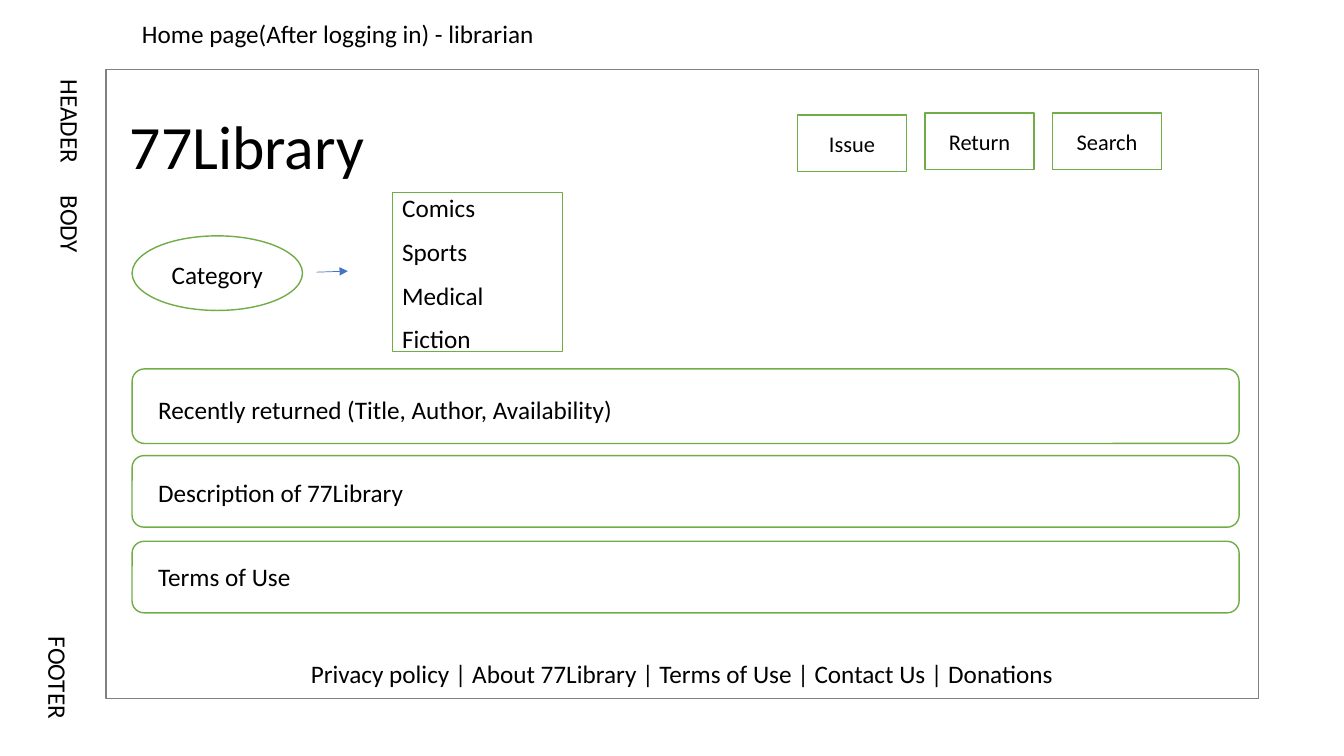
"""Build the wireframe of the librarian home page."""
from dataclasses import dataclass

from lxml import etree
from pptx import Presentation
from pptx.dml.color import RGBColor
from pptx.enum.shapes import MSO_CONNECTOR, MSO_SHAPE
from pptx.enum.text import MSO_ANCHOR, PP_ALIGN
from pptx.oxml.ns import qn
from pptx.util import Inches, Pt


@dataclass(frozen=True)
class Theme:
    font: str = "Calibri"
    ink: str = "000000"
    paper: str = "FFFFFF"
    frame: str = "808080"
    accent: str = "70AD47"
    arrow: str = "4472C4"
    title: int = 44
    body: int = 18
    button: int = 16


THEME = Theme()
CAPTION = "Home page(After logging in) - librarian"
SITE_NAME = "77Library"
BUTTONS = [("Issue", 1.14), ("Return", 1.12), ("Search", 1.12)]
CATEGORIES = ["Comics", "Sports", "Medical", "Fiction"]
PANELS = [
    ("Recently returned (Title, Author, Availability)", 3.66, 0.74, 3.86),
    ("Description of 77Library", 4.52, 0.71, 4.69),
    ("Terms of Use", 5.37, 0.71, 5.52),
]
REGIONS = [("HEADER", 0.4, 0.69, 1.22), ("BODY", 0.4, 1.84, 4.22), ("FOOTER", 0.28, 6.22, 1.17)]
FOOTER_LINKS = ["Privacy policy", "About 77Library", "Terms of Use", "Contact Us", "Donations"]

LEFT = 1.31
PANEL_WIDTH = 10.98
BUTTON_LEFT, BUTTON_PITCH = 7.91, 1.265

prs = Presentation()
prs.slide_width, prs.slide_height = Inches(13.33), Inches(7.5)
slide = prs.slides.add_slide(prs.slide_layouts[6])


def write(shape, lines, size, align=PP_ALIGN.LEFT):
    frame = shape.text_frame
    frame.word_wrap = True
    for i, line in enumerate(lines):
        paragraph = frame.paragraphs[0] if i == 0 else frame.add_paragraph()
        paragraph.alignment = align
        run = paragraph.add_run()
        run.text = line
        run.font.name, run.font.size = THEME.font, Pt(size)
        run.font.color.rgb = RGBColor.from_string(THEME.ink)


def add_label(text, box, size=THEME.body, align=PP_ALIGN.LEFT, vertical=False):
    label = slide.shapes.add_textbox(*map(Inches, box))
    write(label, [text], size, align)
    if vertical:
        label.text_frame._txBody.bodyPr.set("vert", "eaVert")


def add_box(kind, box, lines=(), size=THEME.body, align=PP_ALIGN.CENTER, outline=THEME.accent):
    shape = slide.shapes.add_shape(kind, *map(Inches, box))
    shape.shadow.inherit = False
    shape.fill.solid()
    shape.fill.fore_color.rgb = RGBColor.from_string(THEME.paper)
    shape.line.color.rgb = RGBColor.from_string(outline)
    shape.line.width = Pt(1)
    write(shape, lines, size, align)
    shape.text_frame.vertical_anchor = MSO_ANCHOR.MIDDLE
    for paragraph in shape.text_frame.paragraphs:
        paragraph.line_spacing, paragraph.space_after = 1.07, Pt(8)


def add_arrow(start, end):
    arrow = slide.shapes.add_connector(MSO_CONNECTOR.STRAIGHT, *map(Inches, start + end))
    arrow.line.color.rgb = RGBColor.from_string(THEME.arrow)
    arrow.line.width = Pt(0.5)
    etree.SubElement(arrow.line._get_or_add_ln(), qn("a:tailEnd"), type="triangle")
    etree.SubElement(arrow._element.spPr, qn("a:effectLst"))


add_box(MSO_SHAPE.RECTANGLE, (1.05, 0.69, 11.43, 6.24), outline=THEME.frame)
add_label(CAPTION, (LEFT, 0.13, 4.42, 0.4))
add_label(SITE_NAME, (1.19, 1.02, 2.97, 0.84), THEME.title)

for i, (name, top) in enumerate(BUTTONS):
    left = BUTTON_LEFT + i * BUTTON_PITCH
    add_box(MSO_SHAPE.RECTANGLE, (left, top, 1.08, 0.56), [name], THEME.button)

add_box(MSO_SHAPE.OVAL, (LEFT, 2.34, 1.69, 0.74), ["Category"])
add_arrow((3.14, 2.7), (3.45, 2.69))
add_box(MSO_SHAPE.RECTANGLE, (3.89, 1.91, 1.69, 1.58), CATEGORIES, align=PP_ALIGN.LEFT)

for text, top, height, text_top in PANELS:
    add_box(MSO_SHAPE.ROUNDED_RECTANGLE, (LEFT, top, PANEL_WIDTH, height))
    add_label(text, (1.47, text_top, 9.85, 0.4))

for name, left, top, height in REGIONS:
    add_label(name, (left, top, 0.5, height), vertical=True)

add_label(" | ".join(FOOTER_LINKS), (1.56, 6.48, 10.41, 0.4), align=PP_ALIGN.CENTER)

prs.save("out.pptx")
